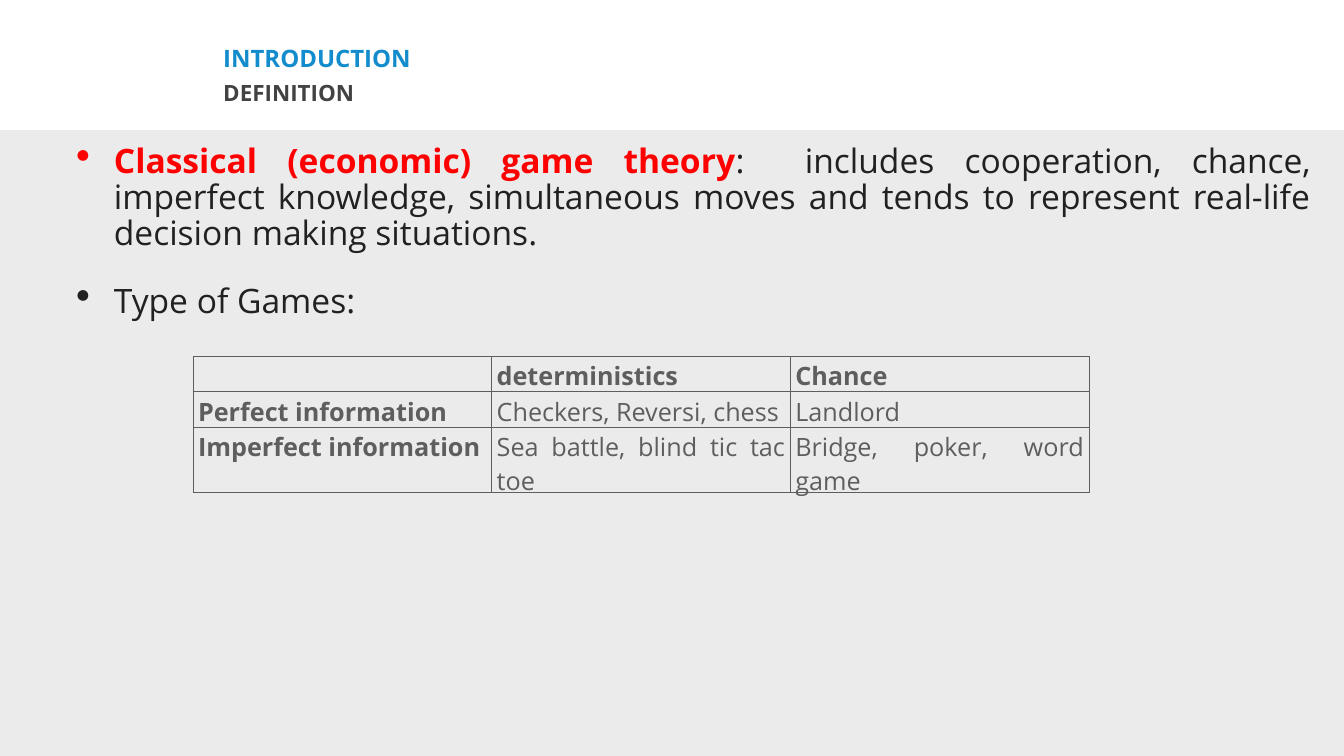
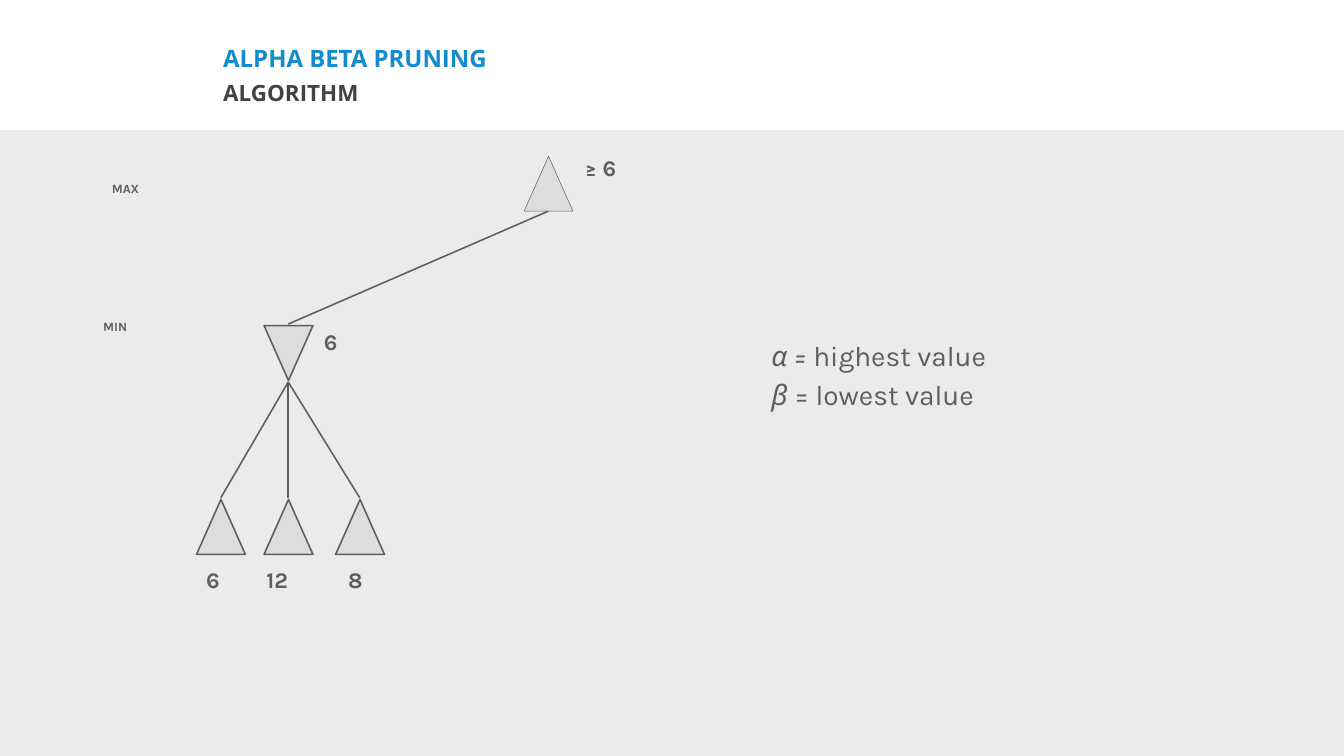
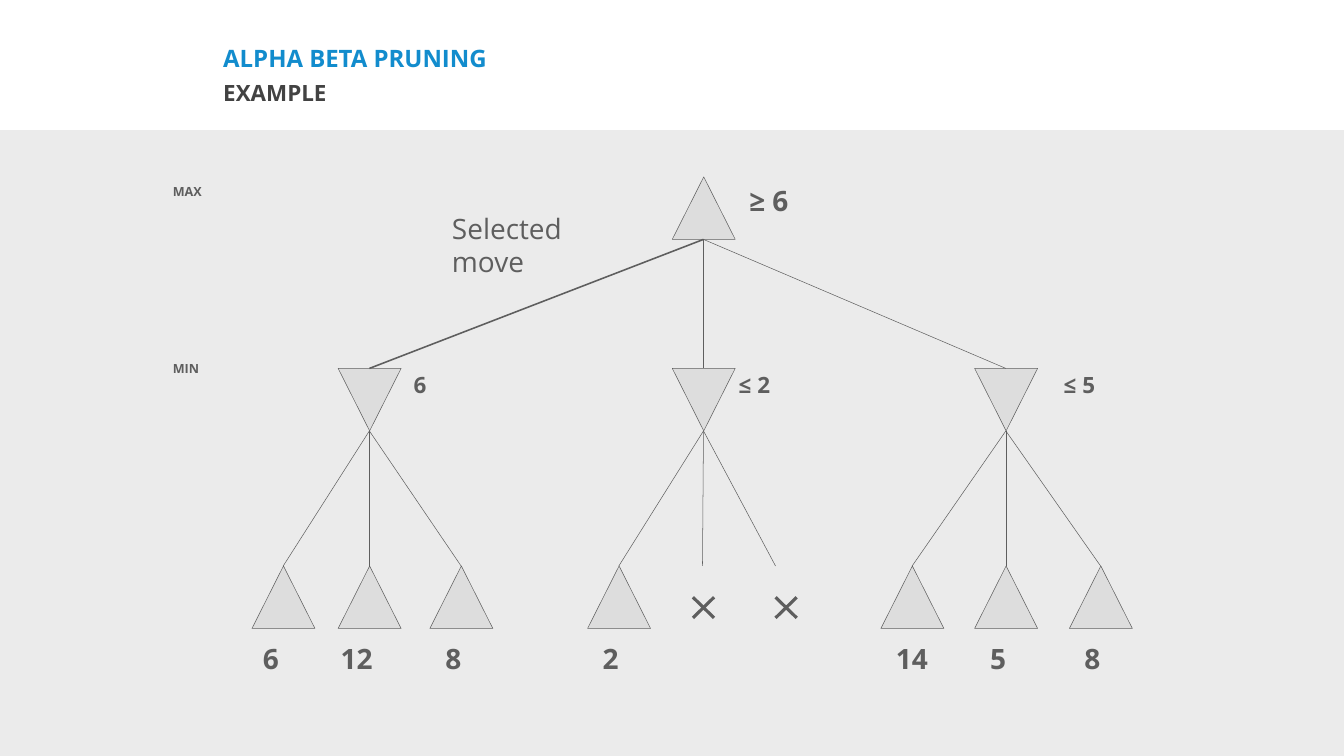
from dataclasses import dataclass
from typing import NamedTuple

from lxml import etree
from pptx import Presentation
from pptx.dml.color import RGBColor
from pptx.enum.shapes import MSO_CONNECTOR, MSO_SHAPE
from pptx.enum.text import MSO_AUTO_SIZE, PP_ALIGN
from pptx.oxml.ns import qn
from pptx.util import Emu, Pt

RECTANGLE = MSO_SHAPE.RECTANGLE
TRIANGLE = MSO_SHAPE.ISOSCELES_TRIANGLE
STRAIGHT = MSO_CONNECTOR.STRAIGHT
FIT_SHAPE = MSO_AUTO_SIZE.SHAPE_TO_FIT_TEXT
JUSTIFY = PP_ALIGN.JUSTIFY
EMU_PER_PX = 9144


class Box(NamedTuple):
    """A rectangle in px."""
    left: int
    top: int
    width: int
    height: int

    def inside(self, left, top, width, height):
        """Return a box placed relative to this one."""
        return Box(self.left + left, self.top + top, width, height)


@dataclass(frozen=True)
class Theme:
    """Colours, fonts and type sizes of the deck."""
    title: str = "128CCD"
    subtitle: str = "424242"
    band: str = "EBEBEB"
    body: str = "212121"
    accent: str = "FF0000"
    ink: str = "5E5E5E"
    node: str = "DDDDDD"
    main_font: str = "Open Sans"
    alternate_font: str = "Karla"
    title_size: float = 34.2
    subtitle_size: int = 32
    body_size: int = 48
    table_size: int = 36
    large_label: int = 40
    label: int = 32
    level_label: int = 18
    thin: float = 0.75
    medium: float = 2.25
    thick: float = 4.5


class Label(NamedTuple):
    """A text and its box relative to the tree area."""
    text: str
    box: Box


class Leaf(NamedTuple):
    """A leaf; without a value it is pruned and marked with a cross."""
    center: int
    value: str
    mark_left: int
    mark_width: int


class Branch(NamedTuple):
    """A MIN node with its leaves."""
    center: int
    label: str
    label_left: int
    label_width: int
    edge_weight: float
    leaves: list


@dataclass(frozen=True)
class Tree:
    """A game tree: sizes, level tops and nodes relative to its area."""
    font: str
    node_width: int
    node_height: int
    root_top: int
    branch_top: int
    leaf_top: int
    edge_gap: int
    weight: float
    value_size: int
    root_size: int
    value_top: int
    value_height: int
    root_center: int
    root_label: Label
    level_labels: list
    branches: list


THEME = Theme()
SLIDE = Box(0, 0, 2667, 1500)
HEADER = Box(437, 97, 1609, 148)
BAND = Box(0, 258, 2667, 1251)

POINTS = [
    [("Classical (economic) game theory", THEME.accent, True),
     (":  includes cooperation, chance, imperfect knowledge, simultaneous moves and tends to "
      "represent real-life decision making situations.", THEME.body, False)],
    [("Type of Games:", THEME.body, False)],
]
GAMES = [
    ["", "deterministics", "Chance"],
    ["Perfect information", "Checkers, Reversi, chess", "Landlord"],
    ["Imperfect information", "Sea battle, blind tic tac toe", "Bridge, poker, word game"],
]
DEFINITIONS = [[("α = ", True), ("highest value", False)],
               [("β", True), (" = lowest value", False)]]

ALGORITHM_TREE = Tree(
    font=THEME.alternate_font, node_width=97, node_height=109,
    root_top=52, branch_top=388, leaf_top=733, edge_gap=3, weight=THEME.medium,
    value_size=THEME.label, root_size=THEME.label, value_top=861, value_height=64,
    root_center=1088, root_label=Label("≥ 6", Box(1151, 42, 88, 66)),
    level_labels=[Label("MAX", Box(212, 97, 114, 66)), Label("MIN", Box(195, 370, 109, 66))],
    branches=[Branch(572, "6", 633, 49, THEME.medium, [
        Leaf(438, "6", 399, 49), Leaf(572, "12", 519, 77), Leaf(714, "8", 681, 49)])],
)
EXAMPLE_TREE = Tree(
    font=THEME.main_font, node_width=125, node_height=124,
    root_top=93, branch_top=473, leaf_top=865, edge_gap=0, weight=THEME.thin,
    value_size=THEME.large_label, root_size=THEME.large_label, value_top=1009, value_height=77,
    root_center=1396, root_label=Label("≥ 6", Box(1477, 102, 146, 77)),
    level_labels=[Label("MAX", Box(333, 102, 249, 124)), Label("MIN", Box(333, 453, 221, 124))],
    branches=[
        Branch(733, "6", 811, 46, THEME.medium, [
            Leaf(562, "6", 512, 52), Leaf(733, "12", 666, 84), Leaf(915, "8", 874, 52)]),
        Branch(1396, "≤ 2", 1456, 82, THEME.thin, [
            Leaf(1228, "2", 1186, 52), Leaf(1394, "", 1375, 42), Leaf(1539, "", 1539, 42)]),
        Branch(1996, "≤ 5", 2101, 82, THEME.thin, [
            Leaf(1810, "14", 1768, 104), Leaf(1996, "5", 1955, 52), Leaf(2184, "8", 2142, 52)]),
    ],
)


def px(length):
    """Turn px into EMU."""
    return Emu(round(length * EMU_PER_PX))


def emus(box):
    """Turn a box into EMU values."""
    return [px(length) for length in box]


def color(value):
    """Turn a hex value into a colour."""
    return RGBColor.from_string(value)


def style_font(font, name, size, value, bold=False):
    """Set the main properties of a font."""
    font.name = name
    font.size = Pt(size)
    font.bold = bold
    font.color.rgb = color(value)


def add_frame(slide, box, inset=None):
    """Add a wrapping text box and return its frame."""
    frame = slide.shapes.add_textbox(*emus(box)).text_frame
    frame.word_wrap = True
    if inset is not None:
        frame.margin_left = frame.margin_right = px(inset)
        frame.margin_top = frame.margin_bottom = px(inset)
    return frame


def add_paragraphs(frame, count):
    """Return the given number of paragraphs of a new frame."""
    return [frame.paragraphs[0]] + [frame.add_paragraph() for _ in range(count - 1)]


def set_indent(paragraph, margin, hanging):
    """Give a paragraph a hanging indent."""
    properties = paragraph._p.get_or_add_pPr()
    properties.set("marL", str(px(margin)))
    properties.set("indent", str(-px(hanging)))
    return properties


def add_label(slide, box, text, font, size, bold=True):
    """Add a one-style label; narrow labels keep to one line."""
    frame = add_frame(slide, box)
    frame.word_wrap = box.width > 100
    frame.auto_size = FIT_SHAPE
    paragraph = frame.paragraphs[0]
    paragraph.text = text
    style_font(paragraph.font, font, size, THEME.ink, bold)


def add_line(slide, start, end, weight):
    """Add a straight line between two points."""
    line = slide.shapes.add_connector(STRAIGHT, *emus(start + end))
    line.line.color.rgb = color(THEME.ink)
    line.line.width = Pt(weight)
    etree.SubElement(line._element.spPr, qn("a:effectLst"))


def add_header(slide, box, title, subtitle):
    """Add the content band, the title and the subtitle."""
    band = slide.shapes.add_shape(RECTANGLE, *emus(BAND))
    band.shadow.inherit = False
    band.fill.solid()
    band.fill.fore_color.rgb = color(THEME.band)
    band.line.fill.background()
    rows = [
        (box.inside(0, 0, box.width, 56), title, THEME.title_size, THEME.title, 0.7),
        (box.inside(0, 60, 1068, 88), subtitle, THEME.subtitle_size, THEME.subtitle, 0.9),
    ]
    for place, text, size, value, spacing in rows:
        paragraph = add_frame(slide, place, 6).paragraphs[0]
        paragraph.text = text
        paragraph.line_spacing = spacing
        style_font(paragraph.font, THEME.main_font, size, value, True)


def add_points(slide, box):
    """Add the bulleted definition text."""
    frame = add_frame(slide, box, 6)
    for index, (paragraph, runs) in enumerate(zip(add_paragraphs(frame, len(POINTS)), POINTS)):
        properties = set_indent(paragraph, 169, 75)
        etree.SubElement(properties, qn("a:buSzPct"), val="123000")
        etree.SubElement(properties, qn("a:buChar"), char="•")
        paragraph.alignment = JUSTIFY
        paragraph.line_spacing = 0.9
        if index:
            paragraph.space_before = Pt(45)
        for text, value, bold in runs:
            run = paragraph.add_run()
            run.text = text
            style_font(run.font, THEME.main_font, THEME.body_size, value, bold)


def set_borders(cell):
    """Draw a thin line on the four sides of a cell."""
    properties = cell._tc.get_or_add_tcPr()
    for index, side in enumerate(("lnL", "lnR", "lnT", "lnB")):
        line = etree.Element(qn(f"a:{side}"), w=str(Pt(1)))
        fill = etree.SubElement(line, qn("a:solidFill"))
        etree.SubElement(fill, qn("a:srgbClr"), val=THEME.ink)
        properties.insert(index, line)


def add_games_table(slide, box):
    """Add the table of game types."""
    table = slide.shapes.add_table(len(GAMES), len(GAMES[0]), *emus(box)).table
    table.first_row = table.horz_banding = False
    for column in table.columns:
        column.width = px(box.width / len(GAMES[0]))
    for row_index, texts in enumerate(GAMES):
        table.rows[row_index].height = px(41)
        for column_index, text in enumerate(texts):
            cell = table.cell(row_index, column_index)
            cell.fill.background()
            set_borders(cell)
            paragraph = cell.text_frame.paragraphs[0]
            paragraph.text = text
            paragraph.alignment = JUSTIFY
            heading = row_index == 0 or column_index == 0
            style_font(paragraph.font, THEME.main_font, THEME.table_size, THEME.ink, heading)


def add_node(slide, area, tree, center, top, weight, flipped=False):
    """Add a triangle node; MIN nodes point down."""
    box = area.inside(center - tree.node_width // 2, top, tree.node_width, tree.node_height)
    node = slide.shapes.add_shape(TRIANGLE, *emus(box))
    node.shadow.inherit = False
    node.fill.solid()
    node.fill.fore_color.rgb = color(THEME.node)
    node.line.color.rgb = color(THEME.ink)
    node.line.width = Pt(weight)
    if flipped:
        node._element.spPr.xfrm.set("flipV", "1")


def add_cross(slide, box):
    """Add the cross of a pruned leaf."""
    right, bottom = box.left + box.width, box.top + box.height
    add_line(slide, (box.left, box.top), (right, bottom), THEME.thick)
    add_line(slide, (box.left, bottom), (right, box.top), THEME.thick)


def add_edge(slide, area, start, end, weight):
    """Add an edge between two points of the tree area."""
    add_line(slide, area.inside(*start, 0, 0)[:2], area.inside(*end, 0, 0)[:2], weight)


def add_leaf(slide, area, tree, leaf):
    """Add a leaf with its value, or its cross."""
    if not leaf.value:
        add_cross(slide, area.inside(leaf.mark_left, tree.leaf_top + 62, leaf.mark_width, 41))
        return
    add_node(slide, area, tree, leaf.center, tree.leaf_top, tree.weight)
    place = area.inside(leaf.mark_left, tree.value_top, leaf.mark_width, tree.value_height)
    add_label(slide, place, leaf.value, tree.font, tree.value_size)


def add_tree(slide, area, tree):
    """Add a game tree with its level names."""
    root_bottom = tree.root_top + tree.node_height
    branch_bottom = tree.branch_top + tree.node_height + tree.edge_gap
    add_node(slide, area, tree, tree.root_center, tree.root_top, THEME.thin)
    add_label(slide, area.inside(*tree.root_label.box), tree.root_label.text,
              tree.font, tree.root_size)
    for label in tree.level_labels:
        add_label(slide, area.inside(*label.box), label.text, tree.font, THEME.level_label)
    for branch in tree.branches:
        add_node(slide, area, tree, branch.center, tree.branch_top, tree.weight, True)
        add_edge(slide, area, (tree.root_center, root_bottom),
                 (branch.center, tree.branch_top - tree.edge_gap), branch.edge_weight)
        place = area.inside(branch.label_left, tree.branch_top, branch.label_width, 64)
        add_label(slide, place, branch.label, tree.font, THEME.label)
        for leaf in branch.leaves:
            add_edge(slide, area, (branch.center, branch_bottom),
                     (leaf.center, tree.leaf_top - tree.edge_gap), tree.weight)
            add_leaf(slide, area, tree, leaf)


def add_definitions(slide, box):
    """Add the meaning of alpha and beta."""
    paragraphs = add_paragraphs(add_frame(slide, box), len(DEFINITIONS))
    for index, (paragraph, runs) in enumerate(zip(paragraphs, DEFINITIONS)):
        set_indent(paragraph, 38, 38)
        if index:
            paragraph.space_before = Pt(8)
        style_font(paragraph.font, THEME.alternate_font, THEME.large_label, THEME.ink)
        for text, italic in runs:
            run = paragraph.add_run()
            run.text = text
            run.font.italic = italic


def add_slide(presentation, title, subtitle):
    """Add a blank slide with the shared header."""
    slide = presentation.slides.add_slide(presentation.slide_layouts[6])
    add_header(slide, HEADER, title, subtitle)
    return slide


def main():
    """Build and save the deck."""
    presentation = Presentation()
    presentation.slide_width = px(SLIDE.width)
    presentation.slide_height = px(SLIDE.height)

    definition = add_slide(presentation, "INTRODUCTION", "DEFINITION")
    add_points(definition, BAND.inside(51, 22, 2557, 1220))
    add_games_table(definition, BAND.inside(383, 449, 1778, 123))

    algorithm = add_slide(presentation, "ALPHA BETA PRUNING", "ALGORITHM")
    add_tree(algorithm, BAND, ALGORITHM_TREE)
    add_definitions(algorithm, BAND.inside(1521, 408, 552, 150))

    example = add_slide(presentation, "ALPHA BETA PRUNING", "EXAMPLE")
    add_tree(example, BAND, EXAMPLE_TREE)
    add_label(example, BAND.inside(887, 156, 282, 145), "Selected move",
              THEME.main_font, THEME.large_label, False)

    presentation.save("out.pptx")


if __name__ == "__main__":
    main()
